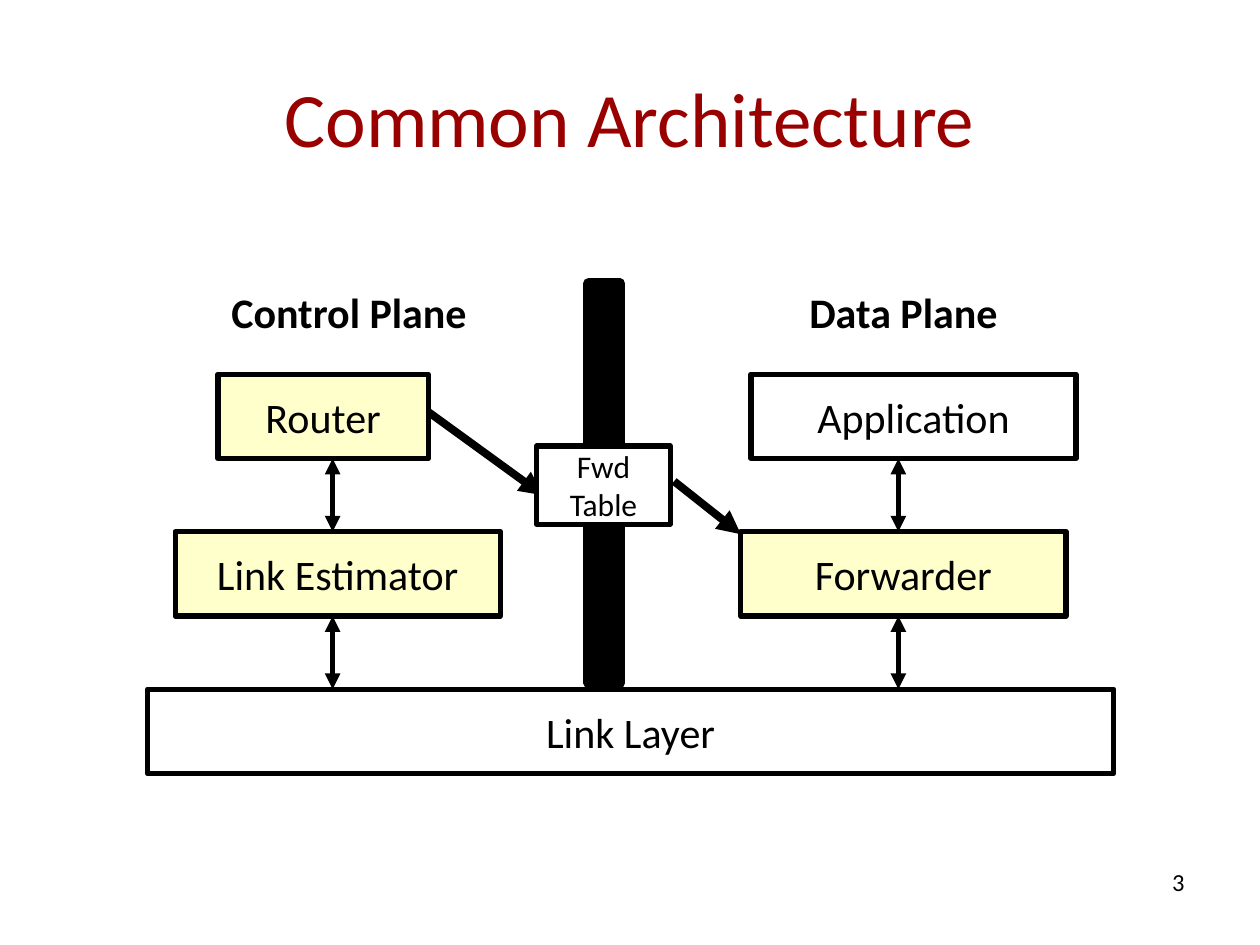
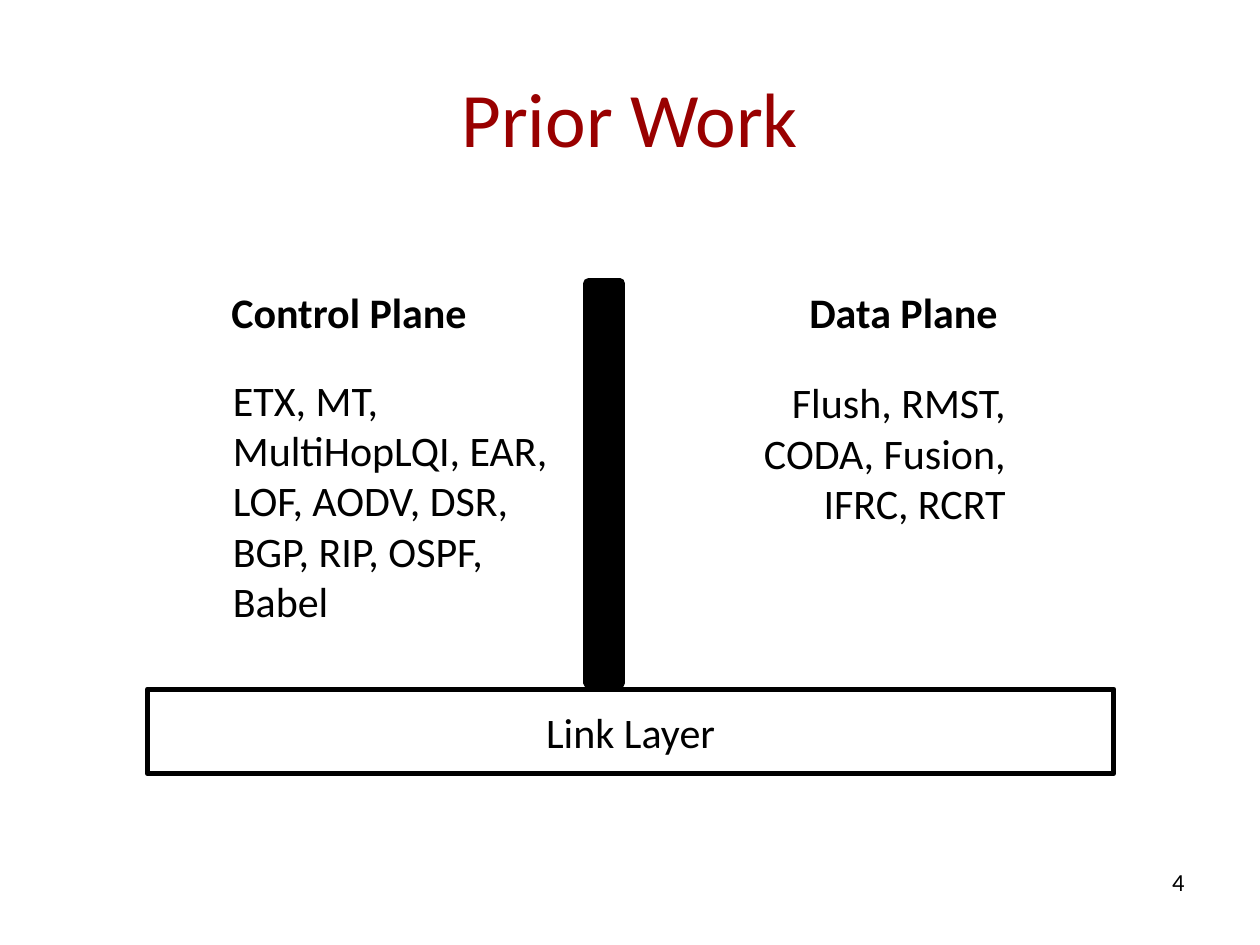
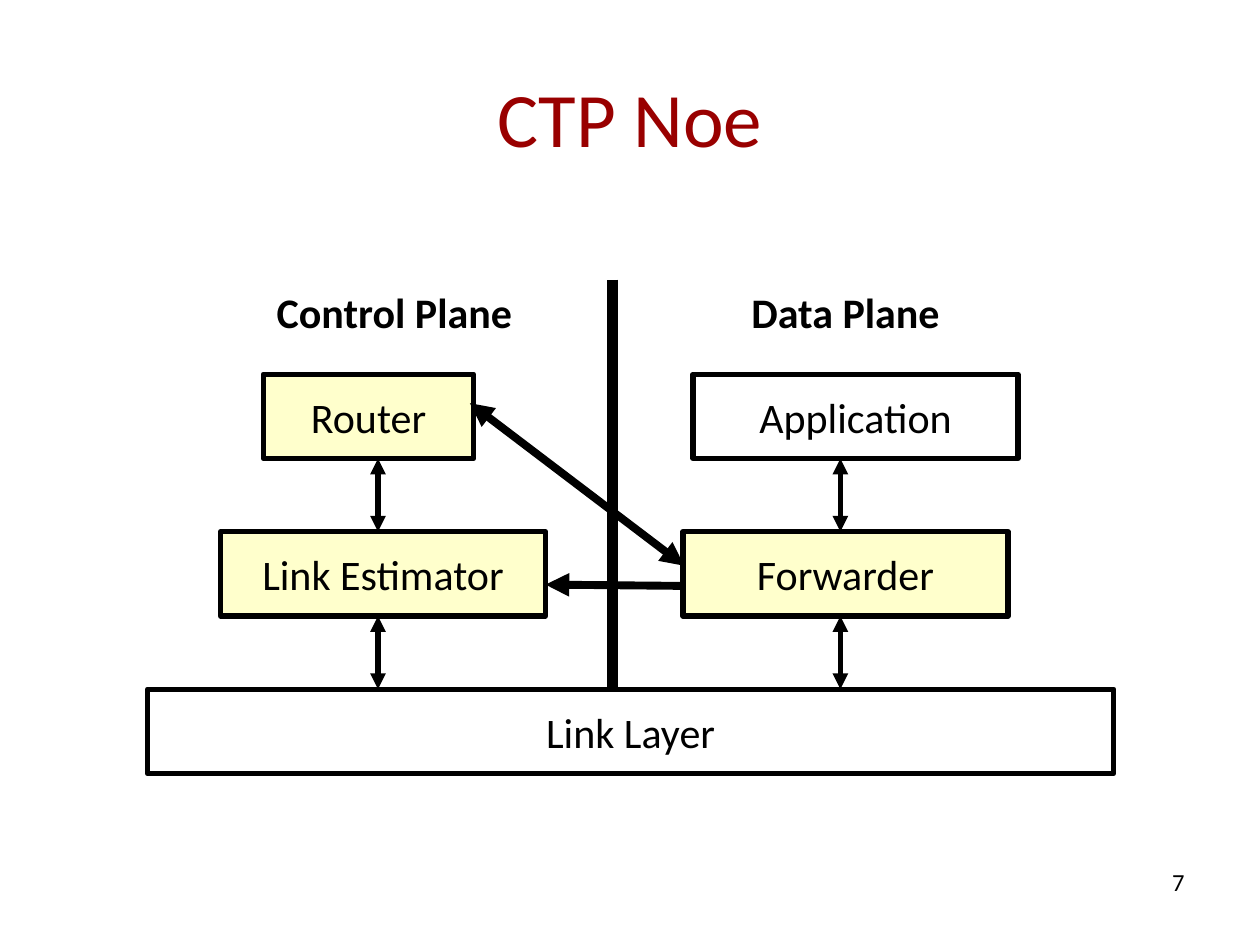
from lxml import etree
from pptx import Presentation
from pptx import util as u
from pptx.dml.color import RGBColor
from pptx.enum import shapes, text
from pptx.oxml.ns import qn

BLACK, WHITE, YELLOW, RED = "000000", "FFFFFF", "FFFFCC", "990000"
FONT = "Calibri"
LEFT, CENTER, RIGHT = text.PP_ALIGN.LEFT, text.PP_ALIGN.CENTER, text.PP_ALIGN.RIGHT

# Rows shared by the diagrams
LABEL_Y, UPPER_Y, LOWER_Y, LINK_Y = 2.14, 2.97, 4.22, 5.47
BOX_W, BOX_H = 2.58, 0.67
ROUTER_W = 1.67


def rgb(hex_color):
    return RGBColor.from_string(hex_color)


def place(sp, x, y, w, h):
    sp.left, sp.top, sp.width, sp.height = map(u.Inches, (x, y, w, h))


def write(tf, lines, size=24, color=BLACK, bold=False, align=CENTER,
          anchor=text.MSO_ANCHOR.MIDDLE, wrap=False):
    tf.word_wrap = wrap
    tf.vertical_anchor = anchor
    for i, line in enumerate(lines):
        p = tf.add_paragraph() if i else tf.paragraphs[0]
        p.alignment = align
        r = p.add_run()
        r.text = line
        r.font.name, r.font.size, r.font.bold = FONT, u.Pt(size), bold
        r.font.color.rgb = rgb(color)


def add_rect(s, x, y, w, h, fill, line_width=3):
    sp = s.shapes.add_shape(shapes.MSO_SHAPE.RECTANGLE,
                            *map(u.Inches, (x, y, w, h)))
    sp.shadow.inherit = False
    sp.fill.solid()
    sp.fill.fore_color.rgb = rgb(fill)
    if line_width:
        sp.line.color.rgb = rgb(BLACK)
        sp.line.width = u.Pt(line_width)
    else:
        sp.line.fill.background()
    return sp


def add_box(s, x, y, lines, w=BOX_W, h=BOX_H, fill=WHITE, size=24):
    write(add_rect(s, x, y, w, h, fill).text_frame, lines, size)


def add_text(s, x, y, w, h, lines, **style):
    sp = s.shapes.add_textbox(*map(u.Inches, (x, y, w, h)))
    write(sp.text_frame, lines, **style)


def add_protocols(s, x, y, h, names, align):
    tf = add_rect(s, x, y, 2.75, h, WHITE, line_width=0).text_frame
    write(tf, [names], align=align, anchor=text.MSO_ANCHOR.TOP, wrap=True)
    tf.auto_size = text.MSO_AUTO_SIZE.SHAPE_TO_FIT_TEXT


def add_line(s, x1, y1, x2, y2, width=3, head=False, tail=False):
    c = s.shapes.add_connector(shapes.MSO_CONNECTOR.STRAIGHT,
                               *map(u.Inches, (x1, y1, x2, y2)))
    c.line.color.rgb = rgb(BLACK)
    c.line.width = u.Pt(width)
    ln = c.line._get_or_add_ln()
    for tag, wanted in (("a:headEnd", head), ("a:tailEnd", tail)):
        if wanted:
            etree.SubElement(ln, qn(tag)).set("type", "triangle")
    etree.SubElement(c._element.spPr, qn("a:effectLst"))


# Parts shared by the slides
def add_slide(prs, title, number):
    s = prs.slides.add_slide(prs.slide_layouts[5])
    place(s.shapes.title, 0.5, 0.3, 9, 1.25)
    write(s.shapes.title.text_frame, [title], size=44, color=RED, wrap=True)
    add_text(s, 7.17, 6.83, 2.33, 0.52, [str(number)], size=14, align=RIGHT,
             anchor=text.MSO_ANCHOR.TOP, wrap=True)
    return s


def add_wall(s):
    add_rect(s, 4.67, 2.25, 0.25, 3.17, BLACK, line_width=6)


def add_planes(s, control_x, data_x):
    add_box(s, 1.17, LINK_Y, ["Link Layer"], w=7.67)
    for x, label in ((control_x + 0.09, "Control Plane"), (data_x, "Data Plane")):
        add_text(s, x, LABEL_Y, BOX_W, BOX_H, [label], bold=True)


def add_modules(s, control_x, data_x):
    add_box(s, control_x + 0.34, UPPER_Y, ["Router"], w=ROUTER_W, fill=YELLOW)
    add_box(s, control_x, LOWER_Y, ["Link Estimator"], fill=YELLOW)
    add_box(s, data_x + 0.08, UPPER_Y, ["Application"])
    add_box(s, data_x, LOWER_Y, ["Forwarder"], fill=YELLOW)
    for x in (control_x + 1.25, data_x + 1.25):
        for top, below in ((UPPER_Y, LOWER_Y), (LOWER_Y, LINK_Y)):
            add_line(s, x, top + BOX_H, x, below, head=True, tail=True)


def architecture(prs):
    s = add_slide(prs, "Common Architecture", 3)
    columns = 1.39, 5.88
    add_wall(s)
    add_planes(s, *columns)
    add_modules(s, *columns)
    add_line(s, 3.4, 3.27, 4.31, 3.93, width=4.5, tail=True)
    add_box(s, 4.26, 3.54, ["Fwd", "Table"], w=1.06, h=0.62, size=18)
    add_line(s, 5.35, 3.82, 5.88, 4.24, width=4.5, tail=True)


def prior_work(prs):
    s = add_slide(prs, "Prior Work", 4)
    add_wall(s)
    add_planes(s, 1.39, 5.88)
    add_protocols(s, 1.75, 2.92, 2.5, "ETX, MT, MultiHopLQI, EAR, LOF, AODV, "
                  "DSR, BGP, RIP, OSPF, Babel", LEFT)
    add_protocols(s, 5.33, 2.94, 1.3, "Flush, RMST, CODA, Fusion, IFRC, RCRT",
                  RIGHT)


def ctp_noe(prs):
    s = add_slide(prs, "CTP Noe", 7)
    columns = 1.75, 5.42
    add_planes(s, *columns)
    add_modules(s, *columns)
    add_line(s, 4.86, 2.22, 4.86, LINK_Y, width=6)
    add_line(s, 3.73, 3.2, 5.43, 4.49, width=4.5, head=True, tail=True)
    add_line(s, 5.42, 4.65, 4.33, 4.64, width=4.5, tail=True)


def main():
    prs = Presentation()
    prs.slide_width, prs.slide_height = u.Inches(10), u.Inches(7.5)
    architecture(prs)
    prior_work(prs)
    ctp_noe(prs)
    prs.save("out.pptx")


if __name__ == "__main__":
    main()
